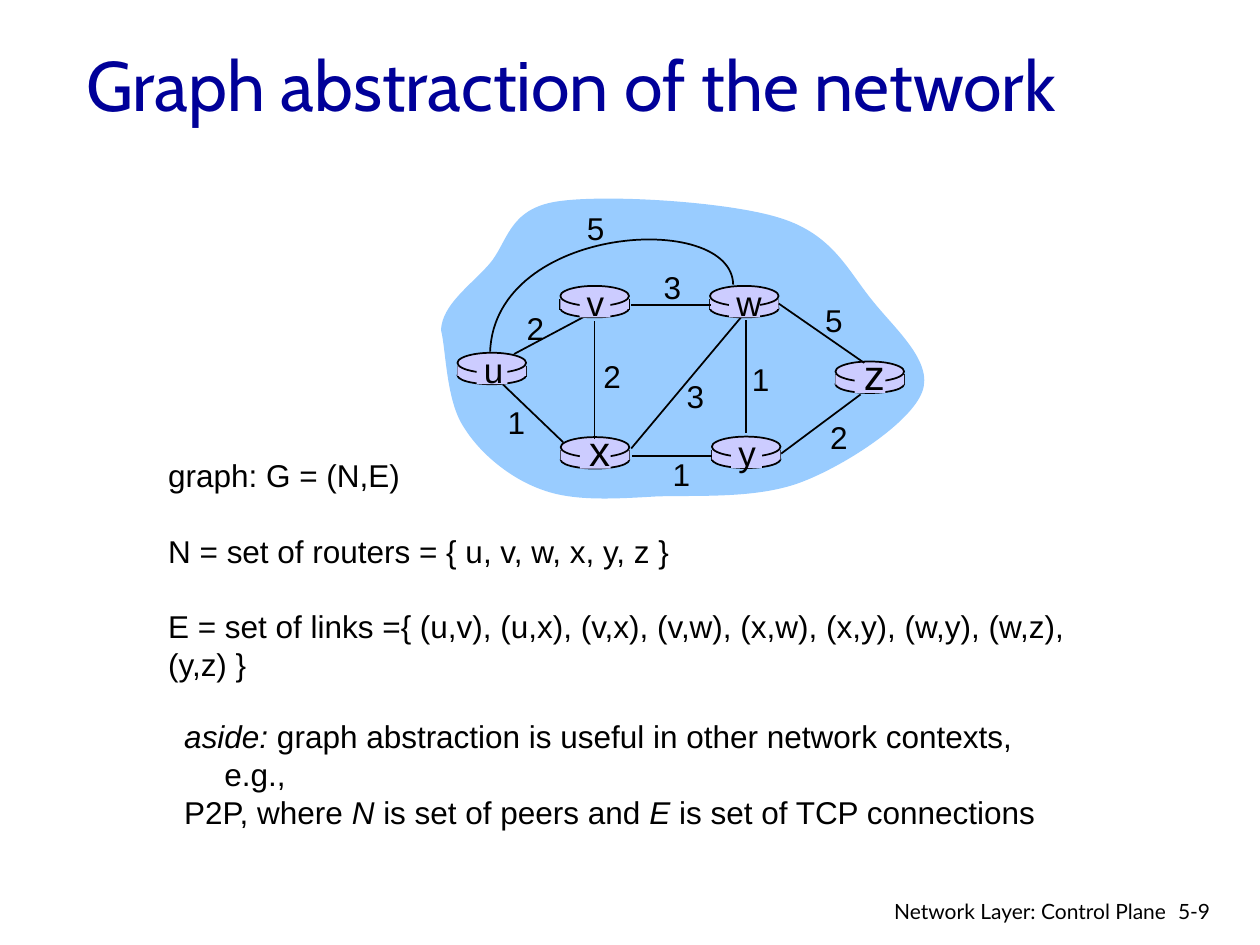
import pptx
import pptx.util
import pptx.dml.color
import pptx.enum.shapes
import pptx.enum.text
import pptx.oxml.ns
import lxml.etree

Pt = pptx.util.Pt
RGBColor = pptx.dml.color.RGBColor
qn = pptx.oxml.ns.qn
SHAPE = pptx.enum.shapes.MSO_SHAPE
ALIGN = pptx.enum.text.PP_ALIGN
ANCHOR = pptx.enum.text.MSO_ANCHOR

BLACK = RGBColor(0, 0, 0)
NAVY = RGBColor(0x00, 0x00, 0x99)
SKY = RGBColor(0x99, 0xCC, 0xFF)
LILAC = RGBColor(0xCC, 0xCC, 0xFF)

ROUTER_WIDTH = 39.2
CLOUD = [
    (0, 77.6),
    (0.7, 63.2), (16.6, 52.4), (27.4, 40.2),
    (38.2, 28), (38.2, 8.5), (66.2, 4.2),
    (93.6, -0.1), (164.2, 4.2), (193.7, 13.6),
    (223.9, 22.9), (232.6, 43.8), (246.2, 60.4),
    (259.2, 76.9), (281.5, 95.6), (275, 112.9),
    (268.6, 130.2), (232.6, 154), (207.4, 164),
    (182.2, 174.1), (149, 172), (123.8, 172.7),
    (99.4, 174.1), (76.3, 175.6), (58.3, 169.1),
    (39.6, 162.6), (22.3, 148.2), (13, 133.1),
    (2.9, 118), (2.9, 89.2), (0, 77.6),
]
ARC = [(167, 51.7), (166.3, 9.2), (31, 17.2), (28.1, 89.9)]
ROUTERS = [
    ("u", 9.4, 90.6, 20), ("x", 68.4, 138.8, 24), ("v", 68.2, 52.4, 20),
    ("w", 153.7, 52.4, 20), ("y", 154.8, 138.5, 20), ("z", 225.4, 95.6, 24),
]
LINK_BEHIND = ((41.8, 91.3), (85, 68.3))
LINKS = [
    ((174.2, 71.9), (174.2, 136.7)),
    ((87.8, 72.6), (87.8, 139.6)), ((108.7, 145.3), (171.4, 70.4)),
    ((194.4, 148.2), (239.8, 114.4)), ((154.8, 149.6), (109.4, 149.6)),
    ((69.8, 141.7), (35.3, 108.6)), ((154.1, 63.2), (108.7, 63.2)),
    ((241.9, 96.4), (193, 62.5)),
]
COSTS = [
    ("2", 41.8, 61.8), ("2", 85.7, 89.2), ("1", 31, 115.8), ("3", 133.2, 100.7),
    ("1", 125.3, 145.3), ("1", 170.6, 91.3), ("2", 215.3, 124.4),
    ("5", 212.4, 57.5), ("3", 120.2, 38.8), ("5", 76.3, 4.9),
]
DEFINITIONS = [
    [("graph: G = (N,E)", False)],
    [("N = set of routers = { u, v, w, x, y, z }", False)],
    [("E = set of links ={ (u,v), (u,x), (v,x), (v,w), (x,w), (x,y), (w,y), (w,z), (y,z) }", False)],
]
ASIDE = [
    [("aside:", True), (" graph abstraction is useful in other network contexts, e.g.,", False)],
    [("P2P, where ", False), ("N", True), (" is set of peers and ", False),
     ("E", True), (" is set of TCP connections", False)],
]


def paint(shape, fill=None, line=None):
    """Give a shape its fill and outline and drop its shadow."""
    shape.shadow.inherit = False
    if fill is None:
        shape.fill.background()
    else:
        shape.fill.solid()
        shape.fill.fore_color.rgb = fill
    if line is None:
        shape.line.fill.background()
    else:
        shape.line.color.rgb = line
        shape.line.width = Pt(1)


def add_preset(slide, kind, box, line=None):
    """Add a lilac router part."""
    paint(slide.shapes.add_shape(kind, *map(Pt, box)), LILAC, line)


def add_link(slide, left, top, start, end):
    """Add a thin black line without a shadow."""
    link = slide.shapes.add_connector(
        pptx.enum.shapes.MSO_CONNECTOR.STRAIGHT,
        Pt(left + start[0]), Pt(top + start[1]), Pt(left + end[0]), Pt(top + end[1]))
    link.line.color.rgb = BLACK
    link.line.width = Pt(1)
    lxml.etree.SubElement(link._element.spPr, qn("a:effectLst"))


def add_curve(slide, left, top, points, close, fill=None, line=None):
    """Draw a chain of cubic curves, given by a start and three points for each curve."""
    (start, *rest) = [(Pt(left + x), Pt(top + y)) for x, y in points]
    builder = slide.shapes.build_freeform(*start)
    builder.add_line_segments(rest, close=close)
    curve = builder.convert_to_shape()
    segments = list(curve._element.iter(qn("a:lnTo")))
    for index in range(0, len(segments), 3):
        bezier = lxml.etree.Element(qn("a:cubicBezTo"))
        segments[index].addprevious(bezier)
        for segment in segments[index:index + 3]:
            bezier.append(segment[0])
            segment.getparent().remove(segment)
    paint(curve, fill, line)


def add_text(slide, box, paragraphs, size, font="Arial", color=BLACK,
             align=ALIGN.LEFT, anchor=ANCHOR.TOP, wrap=True):
    """Add a text box from paragraphs of (text, italic) runs and return its paragraphs."""
    frame = slide.shapes.add_textbox(*map(Pt, box)).text_frame
    frame.word_wrap = wrap
    frame.vertical_anchor = anchor
    for index, runs in enumerate(paragraphs):
        paragraph = frame.paragraphs[0] if index == 0 else frame.add_paragraph()
        paragraph.alignment = align
        for text, italic in runs:
            run = paragraph.add_run()
            run.text = text
            run.font.name = font
            run.font.size = Pt(size)
            run.font.italic = italic
            run.font.color.rgb = color
    return frame.paragraphs


def add_router(slide, left, top):
    """Draw a disc-shaped router."""
    add_preset(slide, SHAPE.OVAL, (left, top + 7.9, ROUTER_WIDTH, 10.1), BLACK)
    for side in (0, ROUTER_WIDTH):
        add_link(slide, left, top, (side, 7.4), (side, 13.7))
    add_preset(slide, SHAPE.RECTANGLE, (left, top + 7.4, ROUTER_WIDTH, 5.8))
    add_preset(slide, SHAPE.OVAL, (left, top, ROUTER_WIDTH, 11.5), BLACK)


def add_router_name(slide, left, top, name, size):
    """Write the name of a router on a lilac patch."""
    add_preset(slide, SHAPE.RECTANGLE, (left + 11, top + 1.4, 17.6, 16.6))
    height = size * 1.2 + 7.2
    add_text(slide, (left + 2 + size * 0.3, top + 25 - height, 24, height),
             [[(name, False)]], size, align=ALIGN.CENTER, wrap=False)


def add_network(slide, left, top):
    """Draw the cloud with its routers, links and link costs."""
    add_curve(slide, left, top, CLOUD, True, fill=SKY)
    add_link(slide, left, top, *LINK_BEHIND)
    for name, x, y, size in ROUTERS:
        add_router(slide, left + x, top + y)
    for start, end in LINKS:
        add_link(slide, left, top, start, end)
    add_curve(slide, left, top, ARC, False, line=BLACK)
    for name, x, y, size in ROUTERS:
        add_router_name(slide, left + x, top + y, name, size)
    for cost, x, y in COSTS:
        add_text(slide, (left + x, top + y, 23, 28.8), [[(cost, False)]], 18,
                 align=ALIGN.CENTER, wrap=False)


def add_definitions(slide, box):
    """Write the definition of the graph."""
    for index, paragraph in enumerate(add_text(slide, box, DEFINITIONS, 18)):
        paragraph.line_spacing = Pt(21.6)
        paragraph.space_before = Pt(21.6 if index else 0)


def add_aside(slide, box):
    """Write the aside with hanging indents."""
    for paragraph in add_text(slide, box, ASIDE, 18):
        paragraph.line_spacing = Pt(21.6)
        properties = paragraph._p.get_or_add_pPr()
        properties.set("marL", str(Pt(23)))
        properties.set("indent", str(Pt(-23)))


def add_footer(slide, left, top):
    """Write the chapter name and the page number."""
    add_text(slide, (left, top, 171.4, 18.7), [[("Network Layer: Control Plane", False)]],
             12, "Lato", align=ALIGN.RIGHT)
    add_text(slide, (left + 164, top, 43.2, 21.6), [[("5-9", False)]], 12, "Lato")


def main():
    """Build and save the slide."""
    deck = pptx.Presentation()
    deck.slide_width, deck.slide_height = Pt(720), Pt(540)
    slide = deck.slides.add_slide(deck.slide_layouts[6])
    add_network(slide, 252, 111)
    add_definitions(slide, (89, 257.2, 553, 115.2))
    add_text(slide, (42.2, 16.6, 612, 62.6), [[("Graph abstraction of the network", False)]],
             40, "Cabin", NAVY, anchor=ANCHOR.MIDDLE)
    add_aside(slide, (98.2, 406.3, 517, 50.4))
    add_footer(slide, 502.1, 509.8)
    deck.save("out.pptx")


if __name__ == "__main__":
    main()
